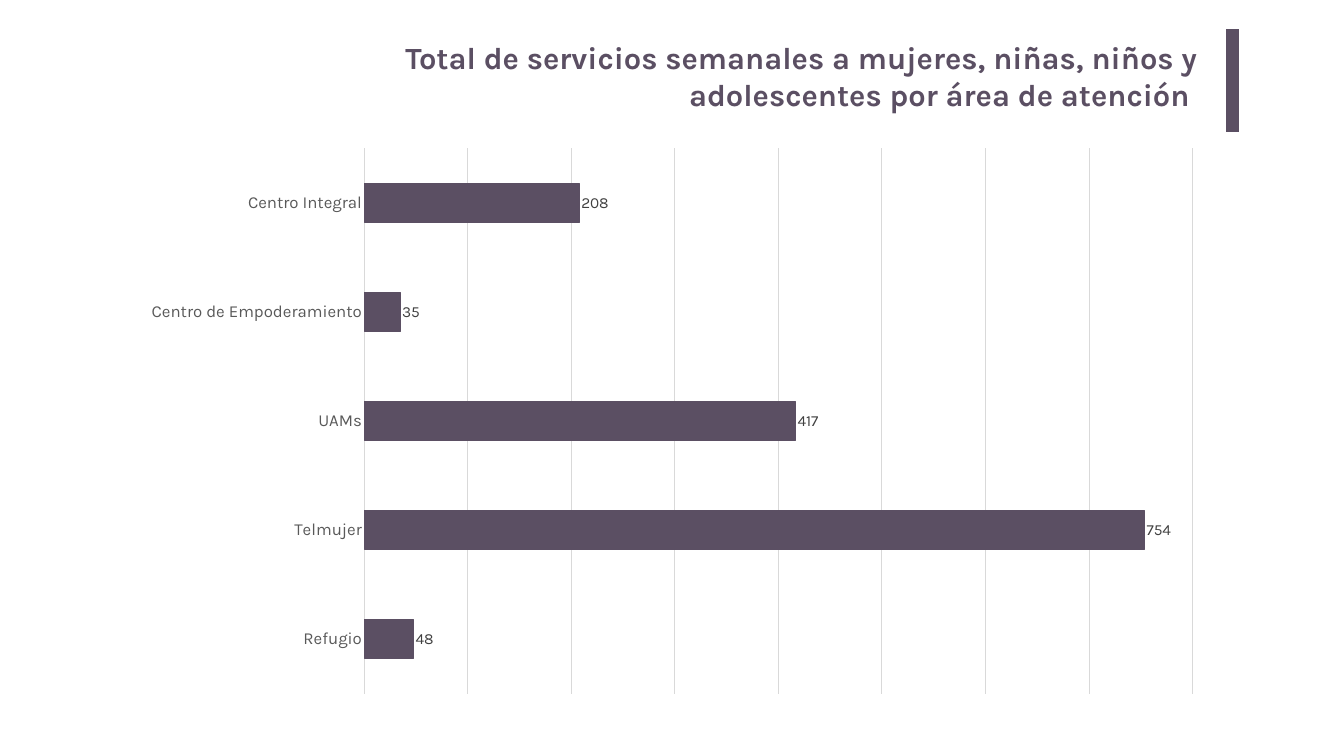
from dataclasses import dataclass

from pptx import Presentation
from pptx.chart.data import CategoryChartData
from pptx.dml.color import RGBColor
from pptx.enum.chart import XL_CHART_TYPE, XL_LABEL_POSITION, XL_TICK_MARK
from pptx.enum.shapes import MSO_SHAPE
from pptx.enum.text import MSO_ANCHOR, PP_ALIGN
from pptx.util import Emu, Pt

EMU_PER_PX = 914400 / 50.4


@dataclass(frozen=True)
class Theme:
    font: str = "Karla"
    plum: str = "5B4F63"
    grid: str = "D9D9D9"
    category: str = "595959"
    value: str = "404040"
    title_size: int = 44
    category_size: int = 24
    value_size: int = 22
    line_width: float = 0.75


theme = Theme()


def px(*lengths):
    return [Emu(round(length * EMU_PER_PX)) for length in lengths]


def style_font(font, size, color, bold=False):
    font.name = theme.font
    font.size = Pt(size)
    font.bold = bold
    font.color.rgb = RGBColor.from_string(color)


presentation = Presentation()
presentation.slide_width, presentation.slide_height = px(1344, 756)
slide = presentation.slides.add_slide(presentation.slide_layouts[6])

# Title
title = slide.shapes.add_textbox(*px(331, 34, 877, 103))
frame = title.text_frame
frame.word_wrap = True
frame.vertical_anchor = MSO_ANCHOR.TOP
frame.margin_left, frame.margin_top, frame.margin_right, frame.margin_bottom = px(10, 5, 10, 5)
paragraph = frame.paragraphs[0]
paragraph.text = (
    "Total de servicios semanales a mujeres, niñas, niños y "
    "adolescentes por área de atención "
)
paragraph.alignment = PP_ALIGN.RIGHT
style_font(paragraph.font, theme.title_size, theme.plum, bold=True)

# Accent bar beside the title
accent = slide.shapes.add_shape(MSO_SHAPE.RECTANGLE, *px(1226, 29, 13, 103))
accent.shadow.inherit = False
accent.fill.solid()
accent.fill.fore_color.rgb = RGBColor.from_string(theme.plum)
accent.line.fill.background()

# Bar chart of services by area
services = {
    "Centro Integral": 208,
    "Centro de Empoderamiento": 35,
    "UAMs": 417,
    "Telmujer": 754,
    "Refugio": 48,
}
chart_data = CategoryChartData()
chart_data.categories = list(services)
chart_data.add_series("Series 1", list(services.values()))
chart = slide.shapes.add_chart(
    XL_CHART_TYPE.BAR_CLUSTERED, *px(130, 137, 1084, 568), chart_data
).chart
chart.has_title = False
chart.has_legend = False
chart.font.name = theme.font
chart.font.size = Pt(10)

# Axes
category_axis = chart.category_axis
category_axis.reverse_order = True
category_axis.major_tick_mark = XL_TICK_MARK.NONE
style_font(category_axis.tick_labels.font, theme.category_size, theme.category)
value_axis = chart.value_axis
value_axis.visible = False
value_axis.minimum_scale = 0
value_axis.maximum_scale = 800
value_axis.major_unit = 100
value_axis.has_major_gridlines = True
for line in (category_axis.format.line, value_axis.major_gridlines.format.line):
    line.color.rgb = RGBColor.from_string(theme.grid)
    line.width = Pt(theme.line_width)

# Bars and their values
plot = chart.plots[0]
plot.vary_by_categories = False
plot.gap_width = 182
bars = plot.series[0]
bars.format.fill.solid()
bars.format.fill.fore_color.rgb = RGBColor.from_string(theme.plum)
bars.format.line.color.rgb = RGBColor.from_string(theme.plum)
bars.format.line.width = Pt(theme.line_width)
labels = bars.data_labels
labels.show_value = True
labels.position = XL_LABEL_POSITION.OUTSIDE_END
style_font(labels.font, theme.value_size, theme.value)

presentation.save("out.pptx")
